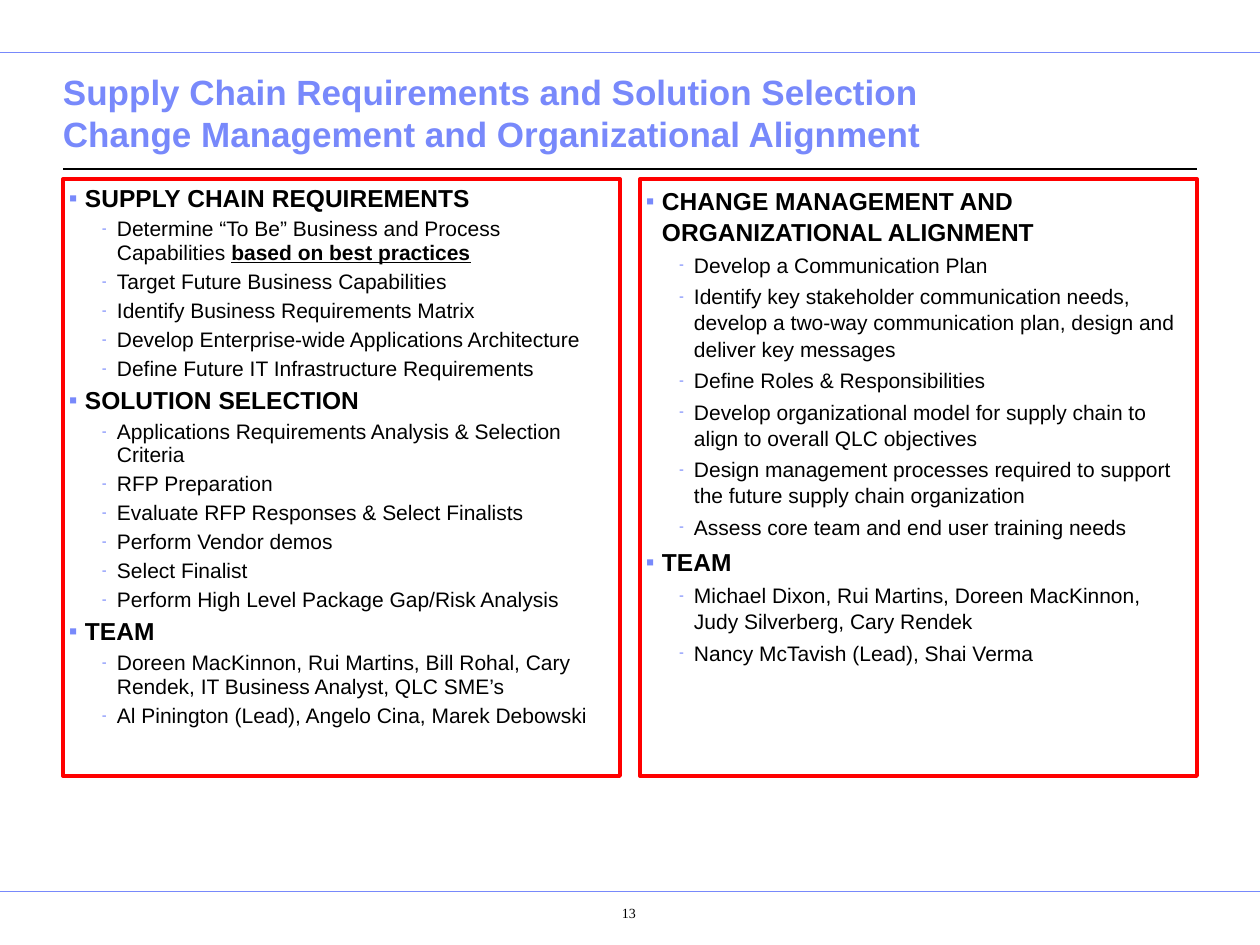
from dataclasses import dataclass

from lxml import etree
from pptx import Presentation
from pptx import util as u
from pptx.dml.color import RGBColor
from pptx.enum import shapes, text
from pptx.oxml.ns import qn

PX = 914400 / 126


@dataclass(frozen=True)
class Theme:
    accent: RGBColor = RGBColor(0x78, 0x89, 0xFB)
    ink: RGBColor = RGBColor(0, 0, 0)
    frame: RGBColor = RGBColor(0xFF, 0, 0)
    font: str = "Arial"
    number_font: str = "Times New Roman"
    title_size: int = 20
    heading_size: int = 14
    item_size: int = 12
    number_size: int = 8


@dataclass(frozen=True)
class Level:
    bullet: str
    bullet_scale: int
    left: int
    hanging: int
    size: int
    bold: bool
    space_before: float


def px(length):
    return u.Emu(round(length * PX))


class SlideBuilder:
    def __init__(self, slide, theme):
        self.slide = slide
        self.theme = theme
        self.heading = Level("▪", 100, 16, 16, theme.heading_size, True, 3.5)
        self.item = Level("-", 70, 48, 15, theme.item_size, False, 3)

    def rule(self, left, right, y, color, width):
        line = self.slide.shapes.add_connector(
            shapes.MSO_CONNECTOR.STRAIGHT, px(left), px(y), px(right), px(y))
        line.line.color.rgb = color
        line.line.width = u.Pt(width)
        etree.SubElement(line._element.spPr, qn("a:effectLst"))

    def style(self, font, size, color, bold=False, name=None):
        font.name = name or self.theme.font
        font.size = u.Pt(size)
        font.bold = bold
        font.color.rgb = color

    def set_frame(self, frame, anchor, insets):
        frame.word_wrap = True
        frame.vertical_anchor = anchor
        (frame.margin_left, frame.margin_top,
         frame.margin_right, frame.margin_bottom) = map(px, insets)

    def title(self, left, top, width, height, words):
        box = self.slide.shapes.add_textbox(*map(px, (left, top, width, height)))
        self.set_frame(box.text_frame, text.MSO_ANCHOR.BOTTOM, (0, 6, 0, 6))
        para = box.text_frame.paragraphs[0]
        para.text = words
        for span in para.runs:
            self.style(span.font, self.theme.title_size, self.theme.accent, True)

    def page_number(self, left, top, width, height, number):
        box = self.slide.shapes.add_textbox(*map(px, (left, top, width, height)))
        self.set_frame(box.text_frame, text.MSO_ANCHOR.TOP, (20, 9, 13, 6))
        para = box.text_frame.paragraphs[0]
        para.text = number
        para.alignment = text.PP_ALIGN.CENTER
        para._p.get_or_add_pPr().set("marL", str(px(30)))
        self.style(para.runs[0].font, self.theme.number_size, self.theme.ink,
                   name=self.theme.number_font)

    def add_bullet(self, para, level):
        props = para._p.get_or_add_pPr()
        props.set("marL", str(px(level.left)))
        props.set("indent", str(-px(level.hanging)))
        color = etree.SubElement(props, qn("a:buClr"))
        etree.SubElement(color, qn("a:srgbClr"), val=str(self.theme.accent))
        etree.SubElement(props, qn("a:buSzPct"), val=str(level.bullet_scale * 1000))
        etree.SubElement(props, qn("a:buFont"), typeface=self.theme.font)
        etree.SubElement(props, qn("a:buChar"), char=level.bullet)

    def bullet_line(self, para, words, level, line_spacing, first):
        """Write one bulleted paragraph; words after a | are bold and underlined."""
        self.add_bullet(para, level)
        para.alignment = text.PP_ALIGN.LEFT
        para.line_spacing = line_spacing
        para.space_before = u.Pt(0 if first else level.space_before)
        plain, _, stressed = words.partition("|")
        para.text = plain
        self.style(para.runs[0].font, level.size, self.theme.ink, level.bold)
        if stressed:
            span = para.add_run()
            span.text = stressed
            self.style(span.font, level.size, self.theme.ink, True)
            span.font.underline = True

    def panel(self, left, top, width, height, sections, line_spacing):
        box = self.slide.shapes.add_shape(
            shapes.MSO_SHAPE.RECTANGLE, *map(px, (left, top, width, height)))
        box.shadow.inherit = False
        box.fill.background()
        box.line.color.rgb = self.theme.frame
        box.line.width = u.Pt(2.25)
        frame = box.text_frame
        self.set_frame(frame, text.MSO_ANCHOR.TOP, (6, 6, 6, 6))
        lines = [(words, level) for heading, items in sections
                 for words, level in [(heading, self.heading)]
                 + [(item, self.item) for item in items]]
        for index, (words, level) in enumerate(lines):
            para = frame.add_paragraph() if index else frame.paragraphs[0]
            self.bullet_line(para, words, level, line_spacing, index == 0)


REQUIREMENTS_AND_SELECTION = [
    ("SUPPLY CHAIN REQUIREMENTS", [
        "Determine “To Be” Business and Process Capabilities |based on best practices",
        "Target Future Business Capabilities",
        "Identify Business Requirements Matrix",
        "Develop Enterprise-wide Applications Architecture",
        "Define Future IT Infrastructure Requirements",
    ]),
    ("SOLUTION SELECTION", [
        "Applications Requirements Analysis & Selection Criteria",
        "RFP Preparation",
        "Evaluate RFP Responses & Select Finalists",
        "Perform Vendor demos",
        "Select Finalist",
        "Perform High Level Package Gap/Risk Analysis",
    ]),
    ("TEAM", [
        "Doreen MacKinnon, Rui Martins, Bill Rohal, Cary Rendek, "
        "IT Business Analyst, QLC SME’s",
        "Al Pinington (Lead), Angelo Cina, Marek Debowski",
    ]),
]

CHANGE_AND_ALIGNMENT = [
    ("CHANGE MANAGEMENT AND ORGANIZATIONAL ALIGNMENT", [
        "Develop a Communication Plan",
        "Identify key stakeholder communication needs, develop a two-way "
        "communication plan, design and deliver key messages",
        "Define Roles & Responsibilities",
        "Develop organizational model for supply chain to align to overall "
        "QLC objectives",
        "Design management processes required to support the future supply "
        "chain organization",
        "Assess core team and end user training needs",
    ]),
    ("TEAM", [
        "Michael Dixon, Rui Martins, Doreen MacKinnon, Judy Silverberg, Cary Rendek",
        "Nancy McTavish (Lead), Shai Verma",
    ]),
]


def main():
    deck = Presentation()
    deck.slide_width, deck.slide_height = px(1260), px(945)
    theme = Theme()
    page = SlideBuilder(deck.slides.add_slide(deck.slide_layouts[6]), theme)
    for y in (52, 891):
        page.rule(0, 1260, y, theme.accent, 0.5)
    page.rule(63, 1197, 169, theme.ink, 0.75)
    page.title(63, 81, 1134, 79,
               "Supply Chain Requirements and Solution Selection\v"
               "Change Management and Organizational Alignment")
    page.panel(63, 179, 557, 597, REQUIREMENTS_AND_SELECTION, 0.94)
    page.panel(640, 179, 557, 597, CHANGE_AND_ALIGNMENT, 1.04)
    page.page_number(538, 896, 145, 44, "13")
    deck.save("out.pptx")


if __name__ == "__main__":
    main()
